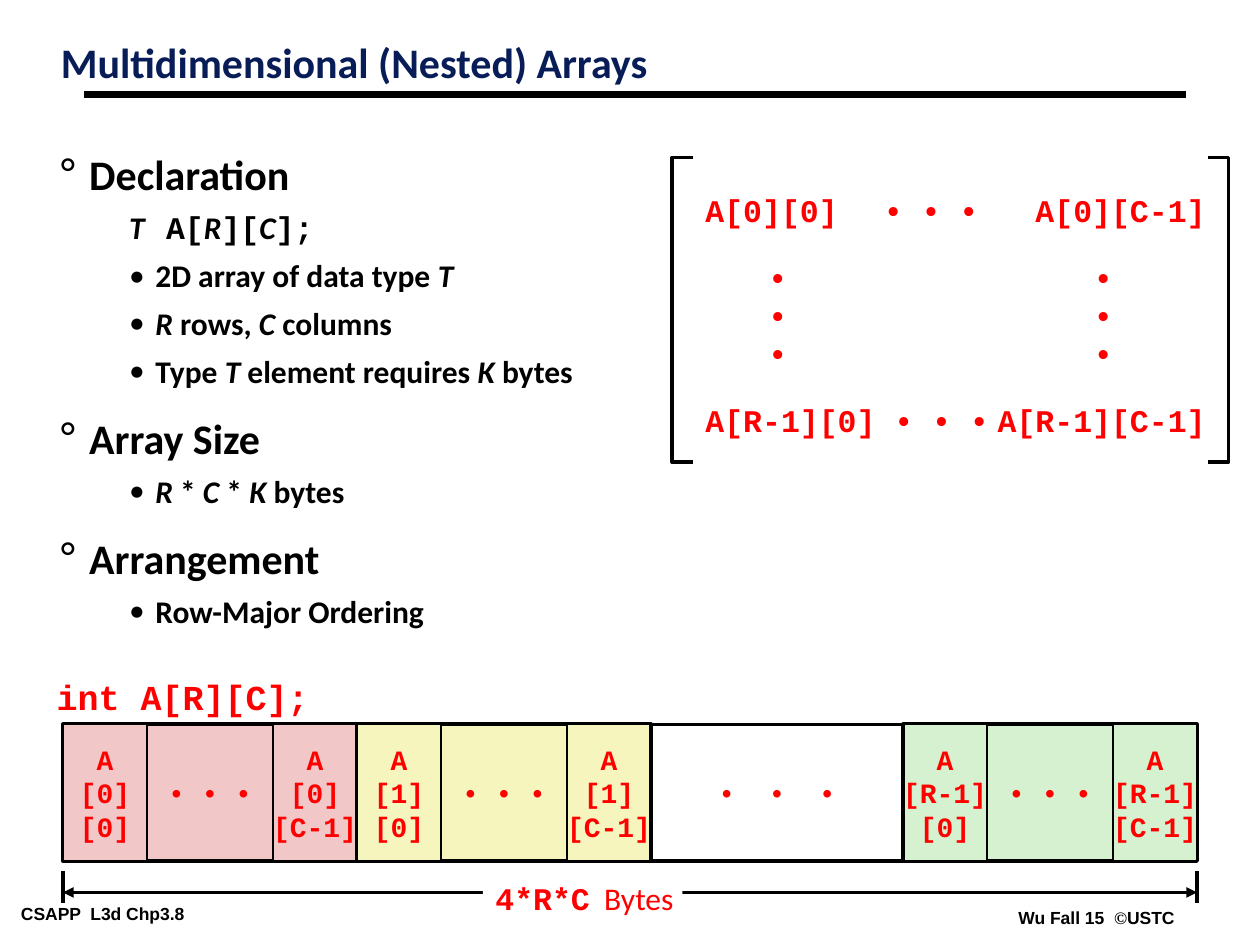
from dataclasses import dataclass

from lxml import etree
from pptx import Presentation
from pptx.dml.color import RGBColor
from pptx.enum.shapes import MSO_CONNECTOR, MSO_SHAPE
from pptx.enum.text import MSO_ANCHOR, PP_ALIGN
from pptx.oxml.ns import qn
from pptx.util import Pt

RECTANGLE, STRAIGHT = MSO_SHAPE.RECTANGLE, MSO_CONNECTOR.STRAIGHT
TOP, MIDDLE = MSO_ANCHOR.TOP, MSO_ANCHOR.MIDDLE
LEFT, CENTER, RIGHT = PP_ALIGN.LEFT, PP_ALIGN.CENTER, PP_ALIGN.RIGHT
PX = 7620  # EMU in one px, 120 px to the inch


@dataclass(frozen=True)
class Theme:
    black: str = "000000"
    white: str = "FFFFFF"
    navy: str = "081D58"
    red: str = "FF0000"
    pink: str = "F1C7C7"
    yellow: str = "F6F5BD"
    green: str = "D5F1CF"
    sans: str = "Calibri"
    mono: str = "Courier New"
    footer: str = "Arial"
    serif: str = "Times New Roman"
    heading_size: int = 24
    code_size: int = 20
    text_size: int = 18
    cell_size: int = 16
    footer_size: int = 10


theme = Theme()


def write(shape, lines, size, color, align=LEFT, anchor=MIDDLE, margins=(12, 6), wrap=False):
    """Fill a shape with lines; each line is a list of (text, font, bold, italic) runs."""
    frame = shape.text_frame
    frame.word_wrap = wrap
    frame.vertical_anchor = anchor
    frame.margin_left = frame.margin_right = margins[0] * PX
    frame.margin_top = frame.margin_bottom = margins[1] * PX
    for index, runs in enumerate(lines):
        paragraph = frame.add_paragraph() if index else frame.paragraphs[0]
        paragraph.alignment = align
        for text, font_name, bold, italic in runs:
            run = paragraph.add_run()
            run.text = text
            run.font.name, run.font.size = font_name, Pt(size)
            run.font.bold, run.font.italic = bold, italic
            run.font.color.rgb = RGBColor.from_string(color)
    return frame


def add_box(left, top, width, height, fill, line_width, lines, size, align):
    """Add a rectangle with red text; a line width of 0 leaves the outline out."""
    shape = slide.shapes.add_shape(RECTANGLE, left * PX, top * PX, width * PX, height * PX)
    shape.shadow.inherit = False
    shape.fill.solid()
    shape.fill.fore_color.rgb = RGBColor.from_string(fill)
    if line_width:
        shape.line.color.rgb = RGBColor.from_string(theme.black)
        shape.line.width = Pt(line_width)
    else:
        shape.line.fill.background()
    write(shape, lines, size, theme.red, align)


presentation = Presentation()
presentation.slide_width, presentation.slide_height = 1200 * PX, 900 * PX
slide = presentation.slides.add_slide(presentation.slide_layouts[5])

# Title
title = slide.shapes.title
title.left, title.top, title.width, title.height = 50 * PX, 37 * PX, 1060 * PX, 76 * PX
frame = write(title, [[("Multidimensional (Nested) Arrays", theme.sans, True, False)]],
              theme.heading_size, theme.navy, anchor=TOP, margins=(8, 4), wrap=True)
frame.paragraphs[0].line_spacing = 0.87

# Footers
footers = [
    (12, 856, 244, [("CSAPP  L3d Chp3.8", theme.footer, True, False)]),
    (962, 860, 176, [("Wu Fall 15  ", theme.footer, True, False),
                     ("©", theme.serif, True, False),
                     ("USTC", theme.footer, True, False)]),
]
for left, top, width, runs in footers:
    footer = slide.shapes.add_textbox(left * PX, top * PX, width * PX, 26 * PX)
    write(footer, [runs], theme.footer_size, theme.black, anchor=TOP, margins=(8, 4))

# Outline: level, bullet, and runs marked p(lain), i(talic) or c(ode)
outline = [
    (0, "°", [("p", "Declaration")]),
    (1, None, [("i", "T   "), ("c", "A["), ("i", "R"), ("c", "]["), ("i", "C"), ("c", "];")]),
    (1, "•", [("p", "2D array of data type "), ("i", "T")]),
    (1, "•", [("i", "R"), ("p", " rows, "), ("i", "C"), ("p", " columns")]),
    (1, "•", [("p", "Type "), ("i", "T"), ("p", " element requires "), ("i", "K"), ("p", " bytes")]),
    (0, "°", [("p", "Array Size")]),
    (1, "•", [("i", "R"), ("p", " * "), ("i", "C "), ("p", "* "), ("i", "K "), ("p", "bytes")]),
    (0, "°", [("p", "Arrangement")]),
    (1, "•", [("p", "Row-Major Ordering")]),
]
outline_lines = [
    [(text, theme.mono if style == "c" else theme.sans, True, style == "i") for style, text in runs]
    for _, _, runs in outline
]
body = slide.shapes.add_textbox(50 * PX, 149 * PX, 582 * PX, 454 * PX)
frame = write(body, outline_lines, theme.text_size, theme.black,
              anchor=TOP, margins=(8, 4), wrap=True)
for index, (paragraph, (level, bullet, _)) in enumerate(zip(frame.paragraphs, outline)):
    properties = paragraph._p.get_or_add_pPr()
    margin, indent = (90, 25) if level else (27, 27)
    properties.set("marL", str(margin * PX))
    properties.set("indent", str(-indent * PX))
    if bullet:
        bullet_color = etree.SubElement(properties, qn("a:buClr"))
        etree.SubElement(bullet_color, qn("a:srgbClr"), val=theme.black)
        etree.SubElement(properties, qn("a:buFont"), typeface=theme.sans)
        etree.SubElement(properties, qn("a:buChar"), char=bullet)
    else:
        etree.SubElement(properties, qn("a:buNone"))
    paragraph.level = level
    paragraph.line_spacing = 0.85 if level else 0.75
    if index:
        paragraph.space_before = Pt(9 if level else 19.5)
    if level == 0:
        for run in paragraph.runs:
            run.font.size = Pt(theme.heading_size)

# Matrix
dots = "• • •"
matrix = [
    (660, 170, 160, 60, ["A[0][0]"], LEFT),
    (1000, 170, 160, 60, ["A[0][C-1]"], RIGHT),
    (660, 370, 160, 60, ["A[R-1][0]"], LEFT),
    (830, 170, 120, 60, [dots], LEFT),
    (840, 370, 120, 60, [dots], LEFT),
    (1000, 370, 160, 60, ["A[R-1][C-1]"], RIGHT),
    (720, 250, 60, 100, ["•"] * 3, LEFT),
    (1030, 250, 60, 100, ["•"] * 3, LEFT),
]
for left, top, width, height, texts, align in matrix:
    lines = [[(text, theme.mono, True, False)] for text in texts]
    add_box(left, top, width, height, theme.white, 0, lines, theme.text_size, align)

for inner, outer in [(660, 640), (1150, 1170)]:
    builder = slide.shapes.build_freeform(inner, 150, scale=PX)
    builder.add_line_segments([(outer, 150), (outer, 440), (inner, 440)], close=False)
    bracket = builder.convert_to_shape()
    bracket.shadow.inherit = False
    bracket.fill.background()
    bracket.line.color.rgb = RGBColor.from_string(theme.black)
    bracket.line.width = Pt(2)

# Memory layout
declaration = slide.shapes.add_textbox(42 * PX, 637 * PX, 280 * PX, 53 * PX)
write(declaration, [[("int A[R][C];", theme.mono, True, False)]],
      theme.code_size, theme.red, anchor=TOP)

row_top, row_width, row_height, cell_width = 690, 280, 130, 80
rows = [(60, "[0]", theme.pink), (340, "[1]", theme.yellow), (860, "[R-1]", theme.green)]
for left, row, fill in rows:
    add_box(left, row_top, row_width, row_height, fill, 2.25,
            [[(dots, theme.mono, False, False)]], theme.cell_size, CENTER)
    for cell_left, column in [(left, "[0]"), (left + row_width - cell_width, "[C-1]")]:
        lines = [[(text, theme.mono, True, False)] for text in ("A", row, column)]
        add_box(cell_left, row_top, cell_width, row_height, fill, 1, lines,
                theme.cell_size, CENTER)
add_box(620, row_top, 240, row_height, theme.white, 2,
        [[("•  •  •", theme.mono, False, False)]], theme.cell_size, CENTER)

# Title rule and size dimension
straight_lines = [
    (80, 90, 1130, 90, 4.5, False),
    (60, 830, 60, 860, 2, False),
    (1140, 830, 1140, 860, 2, False),
    (60, 850, 1140, 850, 2, True),
]
for x1, y1, x2, y2, line_width, arrows in straight_lines:
    connector = slide.shapes.add_connector(STRAIGHT, x1 * PX, y1 * PX, x2 * PX, y2 * PX)
    connector.line.color.rgb = RGBColor.from_string(theme.black)
    connector.line.width = Pt(line_width)
    if arrows:
        for end in ("a:headEnd", "a:tailEnd"):
            etree.SubElement(connector.line._get_or_add_ln(), qn(end), type="triangle")
    etree.SubElement(connector._element.spPr, qn("a:effectLst"))

add_box(460, 830, 190, 50, theme.white, 0,
        [[("4*R*C", theme.mono, True, False), ("  Bytes", theme.sans, False, False)]],
        theme.text_size, LEFT)

presentation.save("out.pptx")
